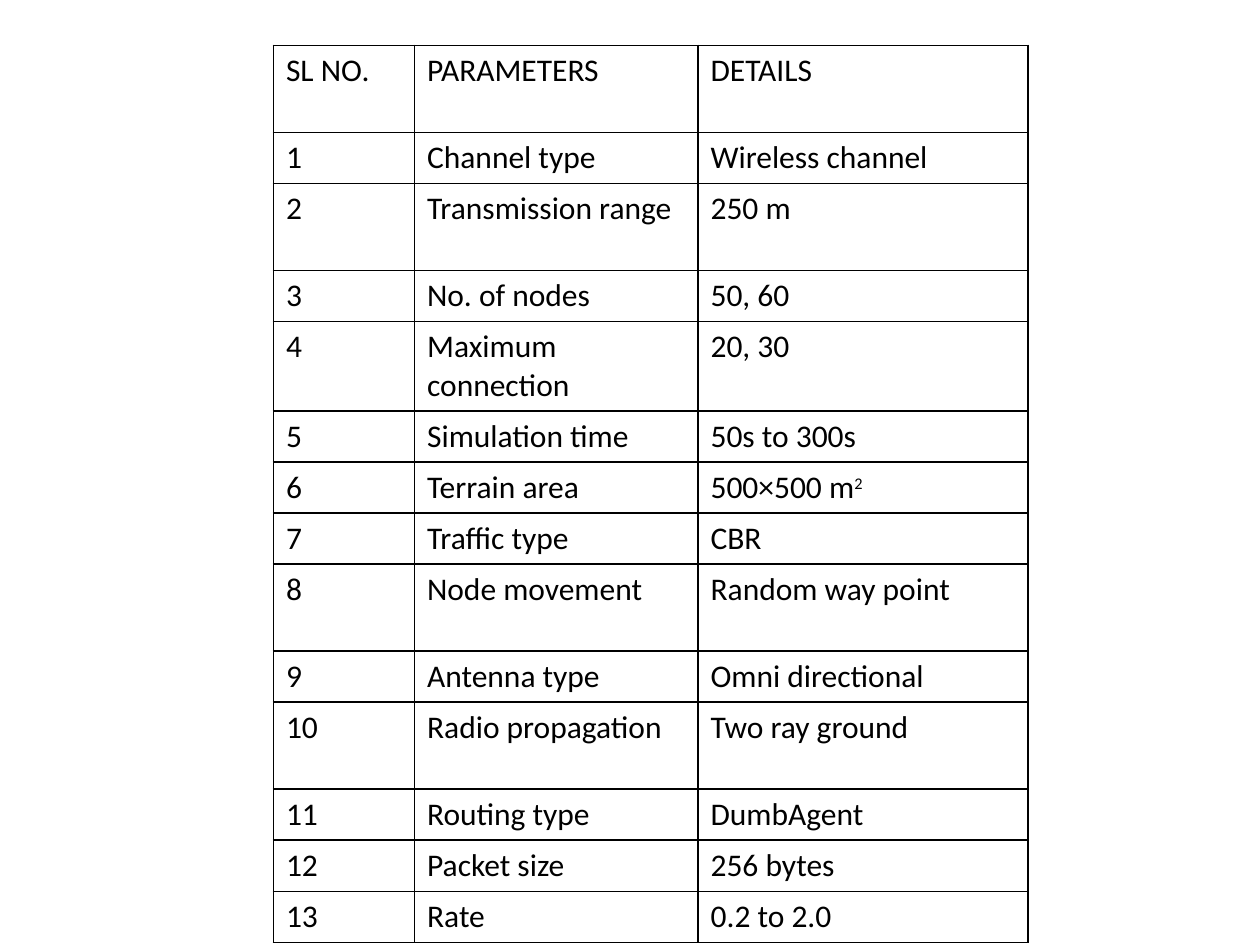
import dataclasses

import lxml.etree
import pptx
import pptx.dml.color
import pptx.oxml.ns
import pptx.util

Inches = pptx.util.Inches
Pt = pptx.util.Pt


@dataclasses.dataclass(frozen=True)
class Theme:
    """Colours, font and sizes used on the slide."""
    ink: str = "000000"
    paper: str = "FFFFFF"
    font: str = "Calibri"
    body: int = 18
    exponent: int = 16
    border: int = 1


THEME = Theme()
COLUMN_WIDTHS = (1.12, 2.25, 2.62)
SINGLE, DOUBLE = 0.39, 0.69
TALL_ROWS = {0, 2, 4, 8, 10}
HEADINGS = ("SL NO.", "PARAMETERS", "DETAILS")
PARAMETERS = (
    ("Channel type", "Wireless channel"),
    ("Transmission range", "250 m"),
    ("No. of nodes", "50, 60"),
    ("Maximum connection", "20, 30"),
    ("Simulation time", "50s to 300s"),
    ("Terrain area", "500×500 m^2"),
    ("Traffic type", "CBR"),
    ("Node movement", "Random way point"),
    ("Antenna type", "Omni directional"),
    ("Radio propagation", "Two ray ground"),
    ("Routing type", "DumbAgent"),
    ("Packet size", "256 bytes"),
    ("Rate", "0.2 to 2.0"),
)


def add_borders(cell):
    """Draw a solid line on all four sides of a cell."""
    properties = cell._tc.get_or_add_tcPr()
    qn = pptx.oxml.ns.qn
    for side in ("a:lnL", "a:lnR", "a:lnT", "a:lnB"):
        line = lxml.etree.SubElement(properties, qn(side), w=str(Pt(THEME.border)))
        fill = lxml.etree.SubElement(line, qn("a:solidFill"))
        lxml.etree.SubElement(fill, qn("a:srgbClr"), val=THEME.ink)


def write_cell(cell, wording):
    """Fill a cell with text, raising whatever follows a caret."""
    base, _, exponent = wording.partition("^")
    paragraph = cell.text_frame.paragraphs[0]
    paragraph.text = base
    if exponent:
        raised = paragraph.add_run()
        raised.text = exponent
        raised.font._element.set("baseline", "30000")
    for run, size in zip(paragraph.runs, (THEME.body, THEME.exponent)):
        run.font.name = THEME.font
        run.font.size = Pt(size)
        run.font.color.rgb = pptx.dml.color.RGBColor.from_string(THEME.ink)


def add_parameter_table(slide, left, top):
    """Place the numbered simulation parameters with their top left corner given."""
    rows = [HEADINGS]
    rows += [(str(number), *pair) for number, pair in enumerate(PARAMETERS, 1)]
    heights = [DOUBLE if i in TALL_ROWS else SINGLE for i in range(len(rows))]
    table = slide.shapes.add_table(
        len(rows), len(HEADINGS), Inches(left), Inches(top),
        Inches(sum(COLUMN_WIDTHS)), Inches(sum(heights))).table
    table.first_row = False
    table.horz_banding = False
    for column, width in zip(table.columns, COLUMN_WIDTHS):
        column.width = Inches(width)
    for row, height, wordings in zip(table.rows, heights, rows):
        row.height = Inches(height)
        for cell, wording in zip(row.cells, wordings):
            add_borders(cell)
            cell.fill.solid()
            cell.fill.fore_color.rgb = pptx.dml.color.RGBColor.from_string(THEME.paper)
            write_cell(cell, wording)


def main():
    """Build and save the presentation."""
    presentation = pptx.Presentation()
    presentation.slide_width = Inches(10)
    presentation.slide_height = Inches(7.5)
    slide = presentation.slides.add_slide(presentation.slide_layouts[6])
    add_parameter_table(slide, 2.17, 0.36)
    presentation.save("out.pptx")


main()
